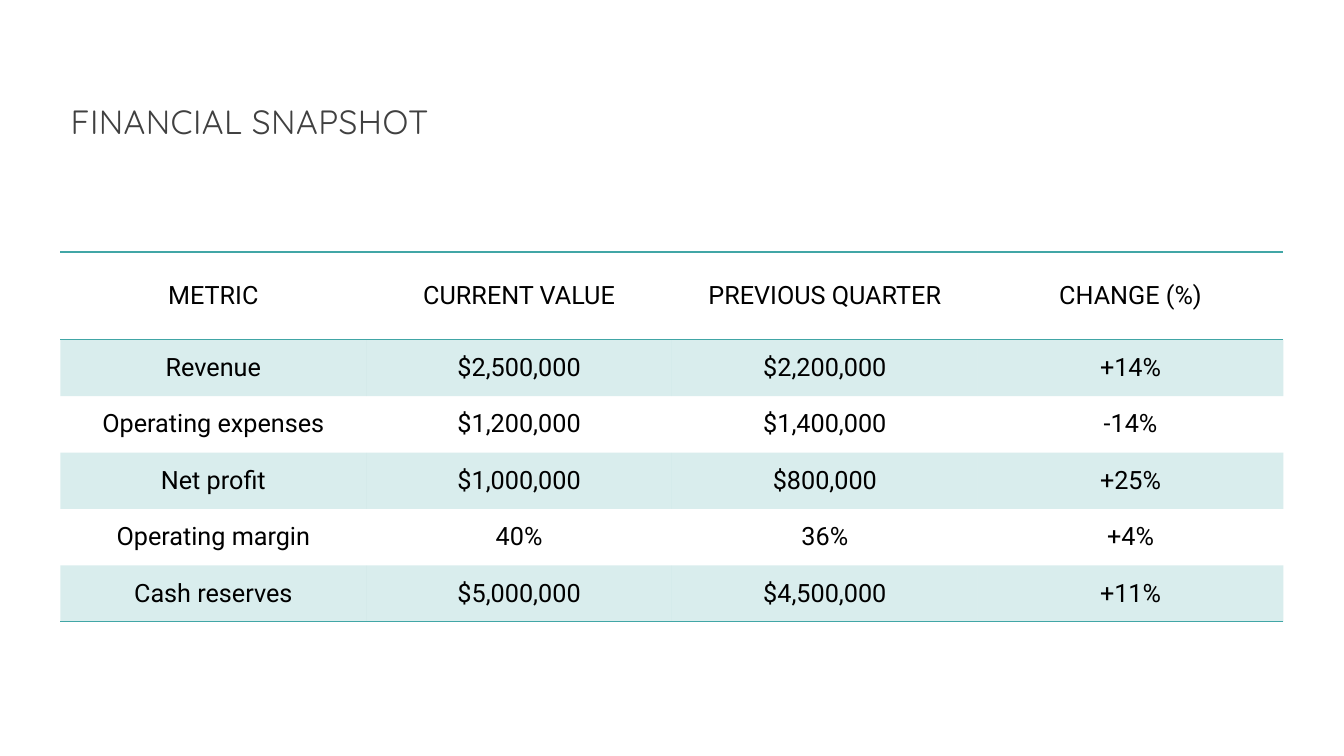
from dataclasses import dataclass

from lxml import etree
from pptx import Presentation
from pptx.dml.color import RGBColor
from pptx.enum.text import MSO_ANCHOR, MSO_AUTO_SIZE, PP_ALIGN
from pptx.oxml.ns import qn
from pptx.slide import Slide
from pptx.table import _Cell
from pptx.util import Inches, Pt

LEFT, CENTER = PP_ALIGN.LEFT, PP_ALIGN.CENTER
TOP, MIDDLE = MSO_ANCHOR.TOP, MSO_ANCHOR.MIDDLE
NO_AUTOFIT = MSO_AUTO_SIZE.NONE
TEAL = "41A6A6"
BLACK = "000000"
GRAY = "404040"
BAND_OPACITY = 20
PLAIN_TABLE_STYLE = "{2D5ABB26-0587-4C30-8999-92F81FD0307C}"
HEADER_HEIGHT = 0.87
BODY_HEIGHT = 0.56
TABLE_WIDTH = 12.13


@dataclass
class MetricRow:
    metric: str
    current: str
    previous: str
    change: str

    def values(self) -> list[str]:
        return [self.metric, self.current, self.previous, self.change]


ROWS = [
    MetricRow("METRIC", "CURRENT VALUE", "PREVIOUS QUARTER", "CHANGE (%)"),
    MetricRow("Revenue", "$2,500,000", "$2,200,000", "+14%"),
    MetricRow("Operating expenses", "$1,200,000", "$1,400,000", "-14%"),
    MetricRow("Net profit", "$1,000,000", "$800,000", "+25%"),
    MetricRow("Operating margin", "40%", "36%", "+4%"),
    MetricRow("Cash reserves", "$5,000,000", "$4,500,000", "+11%"),
]


def color(value: str) -> RGBColor:
    return RGBColor.from_string(value)


def add_border(cell: _Cell, side: str) -> None:
    properties = cell._tc.get_or_add_tcPr()
    line = etree.SubElement(properties, qn(f"a:ln{side}"), w=str(Pt(1)))
    fill = etree.SubElement(line, qn("a:solidFill"))
    etree.SubElement(fill, qn("a:srgbClr"), val=TEAL)


def fill_band(cell: _Cell) -> None:
    cell.fill.solid()
    cell.fill.fore_color.rgb = color(TEAL)
    shade = cell._tc.tcPr.find(qn("a:solidFill")).find(qn("a:srgbClr"))
    etree.SubElement(shade, qn("a:alpha"), val=str(BAND_OPACITY * 1000))


def format_cell(cell: _Cell, text: str, row_index: int) -> None:
    cell.text = text
    cell.vertical_anchor = MIDDLE
    paragraph = cell.text_frame.paragraphs[0]
    paragraph.alignment = CENTER
    paragraph.font.name = "Roboto"
    paragraph.font.size = Pt(18)
    paragraph.font.color.rgb = color(BLACK)
    if row_index == 0:
        add_border(cell, "T")
    if row_index in (0, len(ROWS) - 1):
        add_border(cell, "B")
    if row_index % 2:
        fill_band(cell)
    else:
        cell.fill.background()


def format_title(slide: Slide) -> None:
    title = slide.shapes.title
    title.left, title.top = Inches(0.6), Inches(1)
    title.width, title.height = Inches(12), Inches(1)
    frame = title.text_frame
    frame.text = "FINANCIAL SNAPSHOT"
    frame.word_wrap = True
    frame.auto_size = NO_AUTOFIT
    frame.vertical_anchor = TOP
    paragraph = frame.paragraphs[0]
    paragraph.alignment = LEFT
    paragraph.line_spacing = 0.9
    paragraph.font.name = "Quicksand"
    paragraph.font.size = Pt(24)
    paragraph.font.color.rgb = color(GRAY)
    paragraph.runs[0]._r.get_or_add_rPr().set("spc", "30")


def add_metrics_table(slide: Slide) -> None:
    column_count = len(ROWS[0].values())
    height = HEADER_HEIGHT + BODY_HEIGHT * (len(ROWS) - 1)
    table = slide.shapes.add_table(
        len(ROWS), column_count, Inches(0.6), Inches(2.5),
        Inches(TABLE_WIDTH), Inches(height),
    ).table
    table.horz_banding = False
    table._tbl.tblPr.find(qn("a:tableStyleId")).text = PLAIN_TABLE_STYLE
    for column in table.columns:
        column.width = Inches(TABLE_WIDTH / column_count)
    for row_index, metric_row in enumerate(ROWS):
        row_height = BODY_HEIGHT if row_index else HEADER_HEIGHT
        table.rows[row_index].height = Inches(row_height)
        for column_index, text in enumerate(metric_row.values()):
            format_cell(table.cell(row_index, column_index), text, row_index)


def main() -> None:
    presentation = Presentation()
    presentation.slide_width = Inches(13.33)
    presentation.slide_height = Inches(7.5)
    slide = presentation.slides.add_slide(presentation.slide_layouts[5])
    format_title(slide)
    add_metrics_table(slide)
    presentation.save("out.pptx")


if __name__ == "__main__":
    main()
